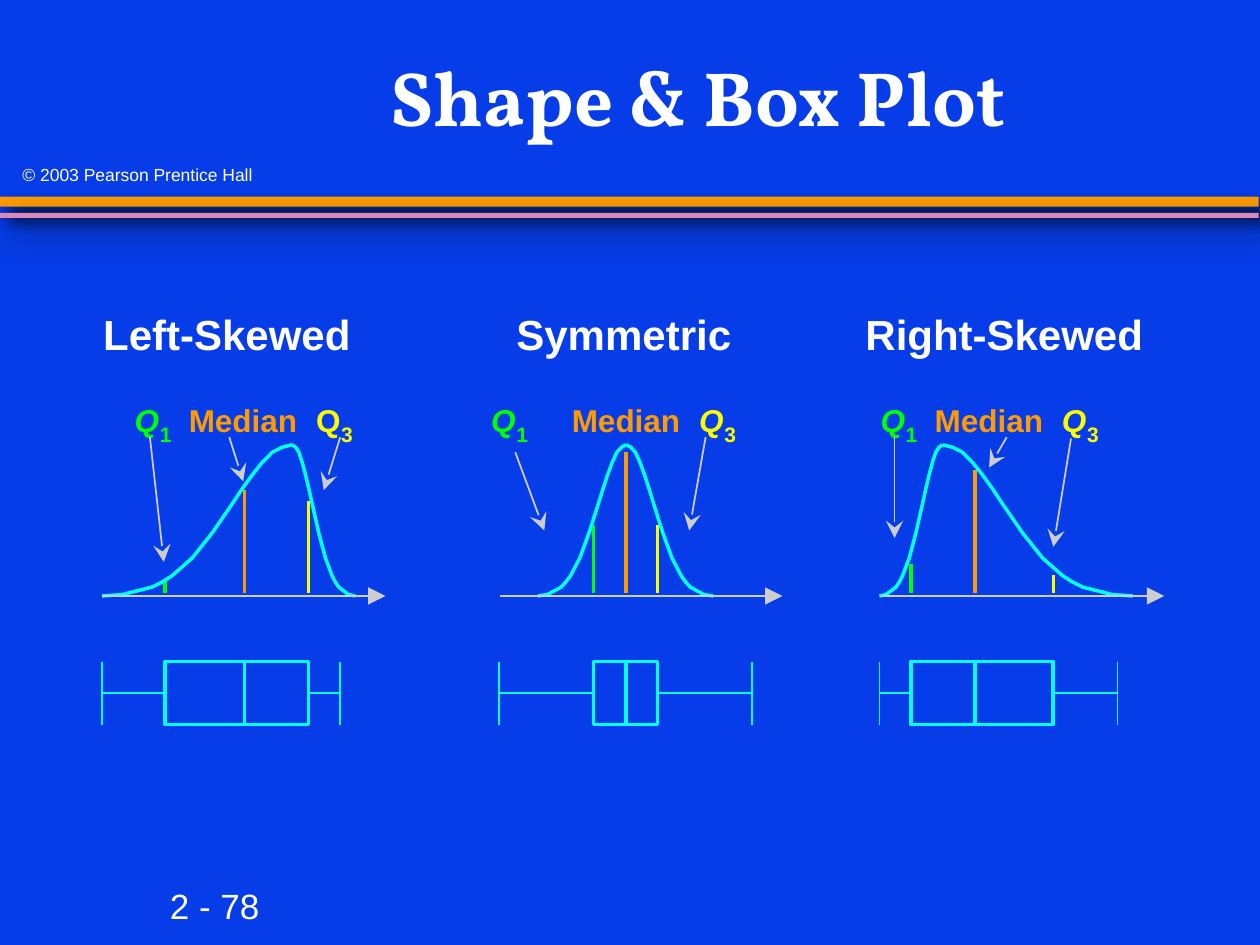
"""Build the slide comparing distribution shapes with their box plots."""
from lxml import etree
from pptx import Presentation
from pptx.dml.color import RGBColor
from pptx.enum.shapes import MSO_CONNECTOR, MSO_SHAPE
from pptx.enum.text import MSO_ANCHOR, MSO_AUTO_SIZE, PP_ALIGN
from pptx.oxml import parse_xml
from pptx.oxml.ns import nsdecls, qn
from pptx.util import Inches, Pt

STRAIGHT = MSO_CONNECTOR.STRAIGHT
RECTANGLE = MSO_SHAPE.RECTANGLE
LEFT_SIDE, RIGHT_SIDE = 1, 3

BLUE, WHITE, GREY, CYAN = "063DE8", "FFFFFF", "CDCDCD", "00FFFF"
GREEN, ORANGE, YELLOW, PINK = "00FF00", "FE9B03", "FAFD00", "D989B8"

TITLE = "Shape & Box Plot"
BANDS = [
    {"top": 1.56, "height": 0.08, "color": ORANGE, "blur": 9, "distance": 7.9},
    {"top": 1.69, "height": 0.04, "color": PINK, "blur": 18, "distance": 8.05},
]
FOOTERS = [
    ("2 - 78", (1.25, 6.97, 0.92, 0.44), 20),
    ("© 2003 Pearson Prentice Hall", (0.08, 1.25, 2.18, 0.26), 10),
]
PANELS = [
    {
        "heading": ("Left-Skewed", 0.72, 2.18),
        "labels": (0.97, 1.40, 2.41), "q3_italic": False,
        "curve": (0.81, 2.32, 2.82), "axis": (0.81, 3.06),
        "quartiles": (1.31, 1.94, 2.45), "tops": (4.61, 3.89, 3.98),
        "whiskers": (0.81, 2.70),
        "arrows": [(1.19, 3.47, 1.30, 4.46), (1.82, 3.47, 1.93, 3.82),
                   (2.70, 3.47, 2.57, 3.89)],
    },
    {
        "heading": ("Symmetric", 4.00, 1.92),
        "labels": (3.80, 4.44, 5.45), "q3_italic": True,
        "curve": (4.27, 4.97, 5.66), "axis": (3.97, 6.21),
        "quartiles": (4.71, 4.97, 5.22), "tops": (4.17, 3.59, 4.17),
        "whiskers": (3.96, 5.97),
        "arrows": [(4.09, 3.59, 4.32, 4.21), (5.60, 3.47, 5.47, 4.21)],
    },
    {
        "heading": ("Right-Skewed", 6.77, 2.41),
        "labels": (6.89, 7.32, 8.33), "q3_italic": True,
        "curve": (6.98, 7.48, 8.99), "axis": (6.99, 9.24),
        "quartiles": (7.23, 7.74, 8.36), "tops": (4.48, 3.73, 4.56),
        "whiskers": (6.98, 8.87),
        "arrows": [(7.10, 3.47, 7.10, 4.27), (7.99, 3.47, 7.85, 3.71),
                   (8.50, 3.48, 8.36, 4.34)],
    },
]
CURVE_STEPS = (0, 2, 3, 4, 5, 6, 7, 9, 11, 13, 14, 15, 16, 17, 18, 19)
CURVE_HEIGHTS = (4.73, 4.72, 4.70, 4.68, 4.66, 4.62, 4.57, 4.43,
                 4.23, 4.00, 3.88, 3.77, 3.67, 3.59, 3.55, 3.53)
AXIS_Y, QUARTILE_BOTTOM = 4.73, 4.71
LABEL_TOP, SUBSCRIPT_TOP = 3.13, 3.30
BOX_TOP, BOX_HEIGHT = 5.25, 0.5


def rgb(color):
    """Turn a hex string into a colour."""
    return RGBColor.from_string(color)


def style_font(font, color=WHITE, **values):
    """Apply a colour and format values to a font."""
    for name, value in {"name": "Arial", **values}.items():
        setattr(font, name, value)
    font.color.rgb = rgb(color)


def style_line(line, color, width):
    """Set the colour and width of a line."""
    line.color.rgb = rgb(color)
    line.width = Pt(width)


def add_text(slide, text, place, size, color=WHITE, **values):
    """Add a text box that fits its single line."""
    frame = slide.shapes.add_textbox(*map(Inches, place)).text_frame
    frame.word_wrap = False
    frame.auto_size = MSO_AUTO_SIZE.SHAPE_TO_FIT_TEXT
    run = frame.paragraphs[0].add_run()
    run.text = text
    style_font(run.font, color, size=Pt(size), **values)


def add_line(slide, ends, color, width, head=None):
    """Add a straight line, with an arrowhead at its end if one is named."""
    line = slide.shapes.add_connector(STRAIGHT, *map(Inches, ends))
    style_line(line.line, color, width)
    if head:
        etree.SubElement(line.line._get_or_add_ln(), qn("a:tailEnd"),
                         type=head, w="lg", len="lg")
    etree.SubElement(line._element.spPr, qn("a:effectLst"))
    return line


def add_band(slide, band):
    """Add a full-width band with a soft shadow."""
    shape = slide.shapes.add_shape(
        RECTANGLE, 0, Inches(band["top"]), Inches(9.99), Inches(band["height"]))
    shape.fill.solid()
    shape.fill.fore_color.rgb = rgb(band["color"])
    shape.line.fill.background()
    shape.shadow.inherit = False
    shape._element.spPr.find(qn("a:effectLst")).append(parse_xml(
        f'<a:outerShdw {nsdecls("a")} blurRad="{Pt(band["blur"])}" '
        f'dist="{Pt(band["distance"])}" dir="3060000" algn="ctr" '
        'rotWithShape="0"><a:srgbClr val="000000"/></a:outerShdw>'))


def add_half_curve(slide, tail, peak):
    """Add the half of a bell curve that rises from its tail to its peak."""
    span = (peak - tail) / CURVE_STEPS[-1]
    points = [(Inches(tail + step * span), Inches(height))
              for step, height in zip(CURVE_STEPS, CURVE_HEIGHTS)]
    builder = slide.shapes.build_freeform(*points[0])
    builder.add_line_segments(points[1:], close=False)
    curve = builder.convert_to_shape()
    curve.fill.background()
    curve.shadow.inherit = False
    style_line(curve.line, CYAN, 2)


def add_labels(slide, panel):
    """Add the heading and the quartile labels of a panel."""
    heading, left, width = panel["heading"]
    add_text(slide, heading, (left, 2.4, width, 0.51), 24, bold=True)
    first, median, third = panel["labels"]
    add_text(slide, "Median", (median, LABEL_TOP, 1.07, 0.41), 18, ORANGE, bold=True)
    for left, number, color, italic in ((first, "1", GREEN, True),
                                        (third, "3", YELLOW, panel["q3_italic"])):
        add_text(slide, "Q", (left, LABEL_TOP, 0.41, 0.41), 18, color,
                 bold=True, italic=italic)
        add_text(slide, number, (left + 0.2, SUBSCRIPT_TOP, 0.3, 0.31), 12, color,
                 bold=True)


def add_distribution(slide, panel):
    """Add the quartile lines, arrows, curve and axis of a panel."""
    for x, top, color in zip(panel["quartiles"], panel["tops"], (GREEN, ORANGE, YELLOW)):
        add_line(slide, (x, top, x, QUARTILE_BOTTOM), color, 2)
    for ends in panel["arrows"]:
        add_line(slide, ends, GREY, 1, "stealth")
    start, peak, end = panel["curve"]
    for tail in (start, end):
        add_half_curve(slide, tail, peak)
    left, right = panel["axis"]
    add_line(slide, (left, AXIS_Y, right, AXIS_Y), GREY, 1, "triangle")


def add_box_plot(slide, panel):
    """Add the box, median line and whiskers of a panel."""
    first, median, third = panel["quartiles"]
    bottom, middle = BOX_TOP + BOX_HEIGHT, BOX_TOP + BOX_HEIGHT / 2
    box = slide.shapes.add_shape(RECTANGLE, *map(
        Inches, (first, BOX_TOP, third - first, BOX_HEIGHT)))
    box.fill.background()
    box.shadow.inherit = False
    style_line(box.line, CYAN, 2)
    add_line(slide, (median, BOX_TOP, median, bottom), CYAN, 2)
    for edge, end, side in zip((first, third), panel["whiskers"], (LEFT_SIDE, RIGHT_SIDE)):
        whisker = add_line(slide, (edge, middle, end, middle), CYAN, 1)
        whisker.begin_connect(box, side)
        add_line(slide, (end, BOX_TOP, end, bottom), CYAN, 1)


def add_title(slide):
    """Place and format the title."""
    title = slide.shapes.title
    place = {"left": 1.83, "top": 0.17, "width": 7.42, "height": 1.25}
    for name, value in place.items():
        setattr(title, name, Inches(value))
    title.text_frame.text = TITLE
    title.text_frame.vertical_anchor = MSO_ANCHOR.MIDDLE
    paragraph = title.text_frame.paragraphs[0]
    paragraph.alignment = PP_ALIGN.CENTER
    paragraph.line_spacing = 0.95
    style_font(paragraph.runs[0].font, name="Vollkorn", size=Pt(44), bold=True)


def main():
    """Build and save the presentation."""
    presentation = Presentation()
    presentation.slide_width, presentation.slide_height = Inches(10), Inches(7.5)
    slide = presentation.slides.add_slide(presentation.slide_layouts[5])
    slide.background.fill.solid()
    slide.background.fill.fore_color.rgb = rgb(BLUE)
    for band in BANDS:
        add_band(slide, band)
    for text, place, size in FOOTERS:
        add_text(slide, text, place, size)
    add_title(slide)
    for panel in PANELS:
        add_labels(slide, panel)
        add_distribution(slide, panel)
        add_box_plot(slide, panel)
    presentation.save("out.pptx")


if __name__ == "__main__":
    main()
